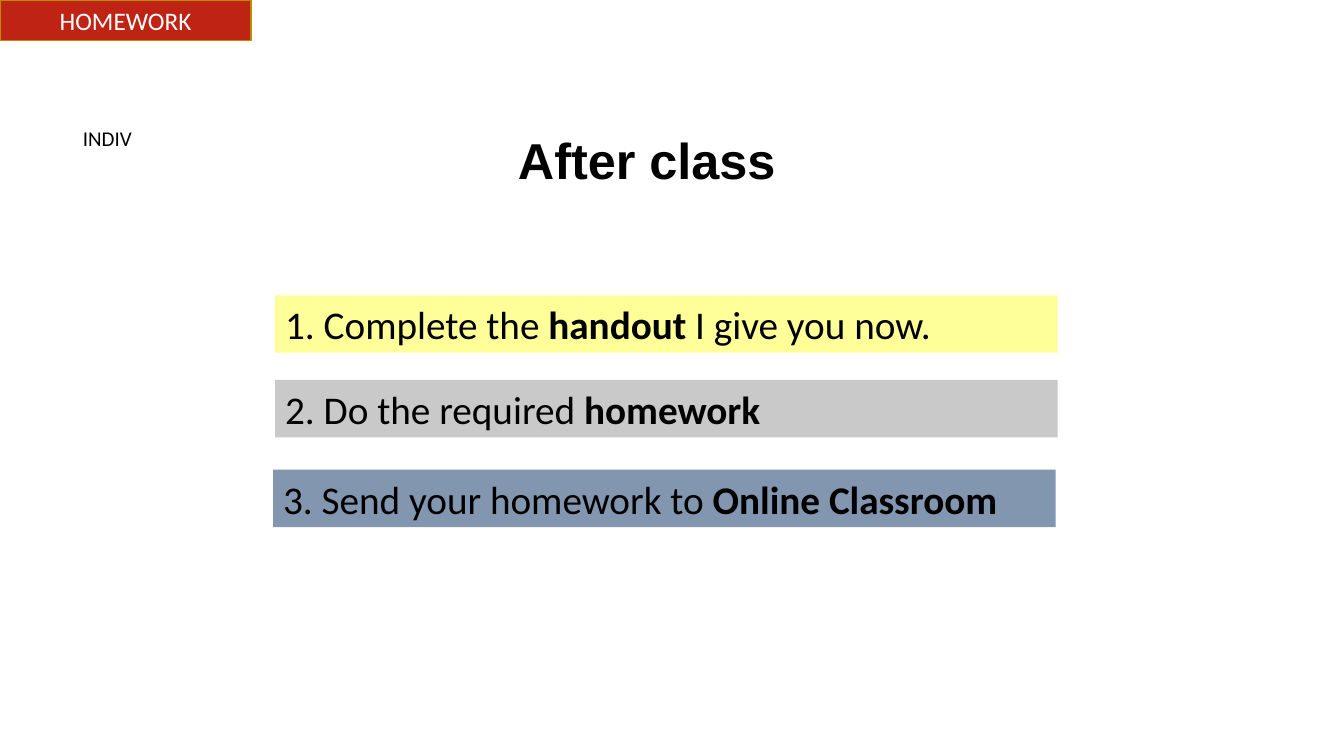
from pptx import Presentation
from pptx.dml.color import RGBColor
from pptx.enum.shapes import MSO_SHAPE
from pptx.enum.text import MSO_ANCHOR, PP_ALIGN
from pptx.util import Inches, Pt


def color(value):
    return RGBColor.from_string(value)


def write(shape, parts, size, align, hue="000000", font="Calibri"):
    paragraph = shape.text_frame.paragraphs[0]
    paragraph.alignment = align
    for text, bold in parts:
        run = paragraph.add_run()
        run.text = text
        run.font.name = font
        run.font.size = Pt(size)
        run.font.bold = bold
        run.font.color.rgb = color(hue)


presentation = Presentation()
presentation.slide_width = Inches(13.33)
presentation.slide_height = Inches(7.5)
slide = presentation.slides.add_slide(presentation.slide_layouts[6])

title = slide.shapes.add_textbox(Inches(4.83), Inches(1.23), Inches(3.17), Inches(0.71))
title.text_frame.word_wrap = True
write(title, [("After class", True)], 36, PP_ALIGN.CENTER, font="Arial")

steps = [
    (2.73, 2.93, "FFFF99", [("1. Complete the ", False), ("handout", True), (" I give you now.", False)]),
    (2.73, 3.77, "C9C9C9", [("2. Do the required ", False), ("homework", True)]),
    (2.71, 4.66, "8296B0", [("3. Send your homework to ", False), ("Online Classroom", True)]),
]
for left, top, fill, parts in steps:
    step = slide.shapes.add_shape(MSO_SHAPE.RECTANGLE, Inches(left), Inches(top), Inches(7.76), Inches(0.57))
    step.shadow.inherit = False
    step.fill.solid()
    step.fill.fore_color.rgb = color(fill)
    step.line.fill.background()
    step.text_frame.word_wrap = True
    step.text_frame.vertical_anchor = MSO_ANCHOR.MIDDLE
    write(step, parts, 28, PP_ALIGN.LEFT)

banner = slide.shapes.add_shape(MSO_SHAPE.RECTANGLE, 0, 0, Inches(2.49), Inches(0.4))
banner.shadow.inherit = False
banner.fill.solid()
banner.fill.fore_color.rgb = color("BE2314")
banner.line.color.rgb = color("BA8C00")
banner.line.width = Pt(1)
banner.text_frame.vertical_anchor = MSO_ANCHOR.TOP
write(banner, [("HOMEWORK", False)], 18, PP_ALIGN.CENTER, "FFFFFF")

work_mode = slide.shapes.add_textbox(Inches(0.72), Inches(1.2), Inches(0.69), Inches(0.35))
work_mode.text_frame.word_wrap = False
write(work_mode, [("INDIV", False)], 15, PP_ALIGN.CENTER)

presentation.save("out.pptx")
